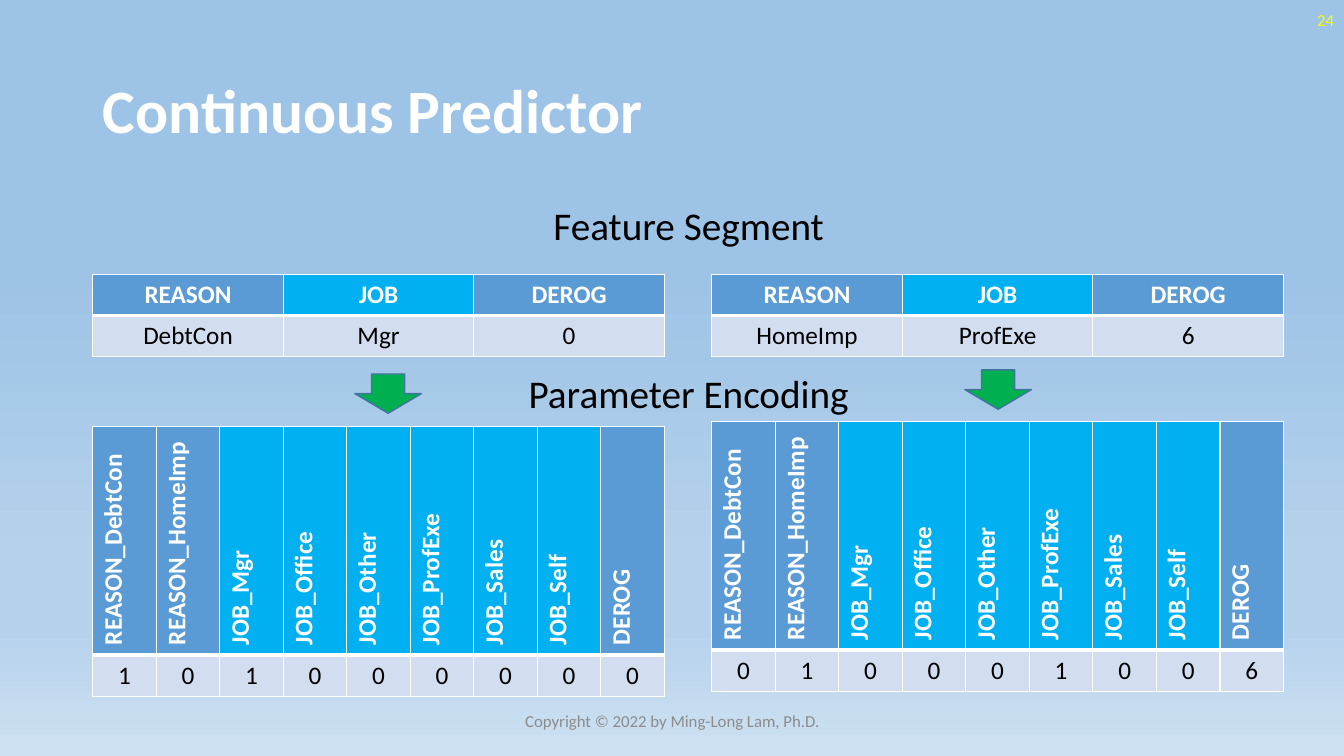
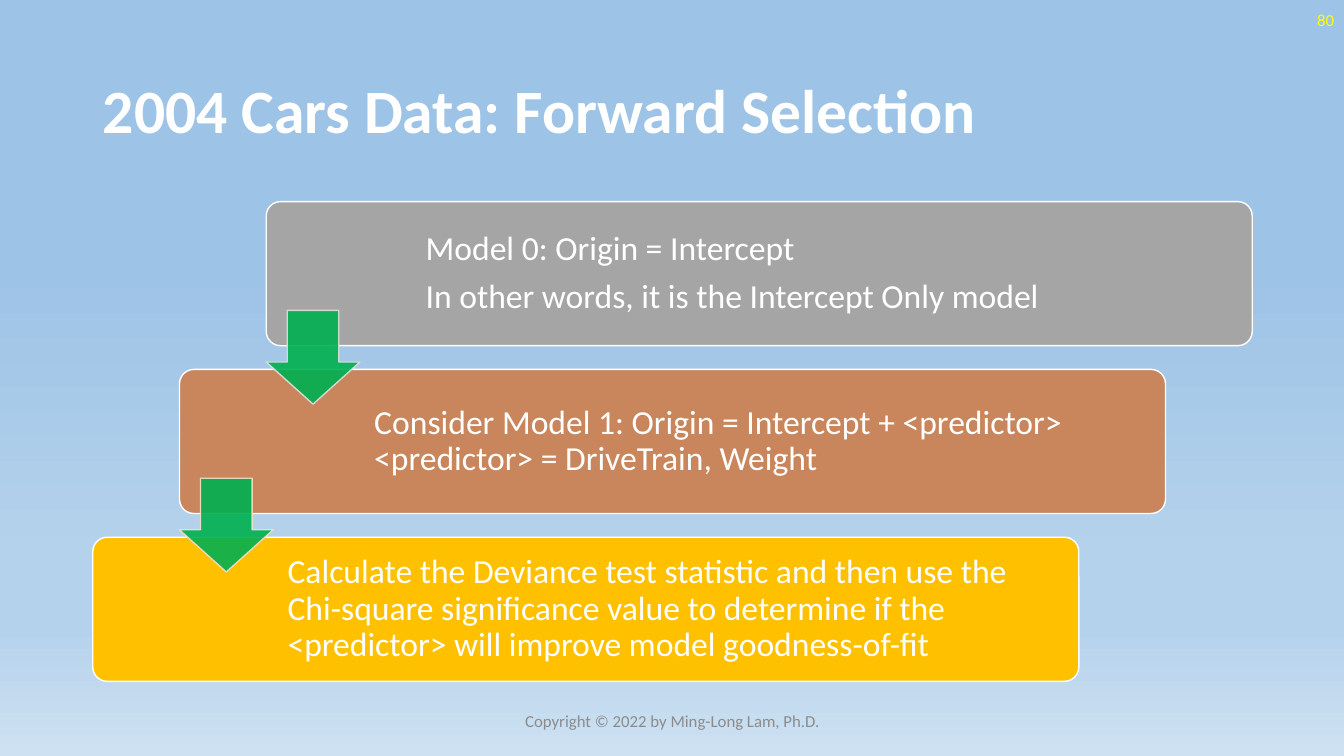
from lxml.etree import SubElement as add_sub
from pptx import Presentation
from pptx.dml.color import RGBColor as RGB
from pptx.enum.shapes import MSO_SHAPE as Shape
from pptx.enum.text import MSO_ANCHOR as Anchor, MSO_AUTO_SIZE as Fit, PP_ALIGN as Align
from pptx.oxml.ns import qn
from pptx.util import Inches, Pt

# Colours and font
FONT = "Calibri"
WHITE = RGB(0xFF, 0xFF, 0xFF)
BLACK = RGB(0x00, 0x00, 0x00)
YELLOW = RGB(0xFF, 0xFF, 0x00)
GREY = RGB(0x8C, 0x8C, 0x8C)
BLUE = RGB(0x5B, 0x9B, 0xD5)
CYAN = RGB(0x00, 0xB0, 0xF0)
PALE = RGB(0xD2, 0xDE, 0xEF)
GREEN = RGB(0x00, 0xB0, 0x50)
NAVY = RGB(0x43, 0x73, 0x9E)
STONE = RGB(0xA5, 0xA5, 0xA5)
CLAY = RGB(0xC9, 0x86, 0x5C)
GOLD = RGB(0xFF, 0xC0, 0x00)
MIST = RGB(0xE1, 0xE1, 0xE1)
CREAM = RGB(0xF5, 0xE0, 0xCB)
SKY = [(35, "9DC3E6"), (74, "B5D2EC"), (83, "B5D2EC"), (100, "CEE1F2")]

# Shared layout, in inches
LEFT, TOP, WIDE = 0.92, 2, 11.5
OWNER = "Copyright © 2022 by Ming-Long Lam, Ph.D."

# Tables
FIELDS = ["REASON", "JOB", "DEROG"]
PARAMS = ["REASON_DebtCon", "REASON_HomeImp", "JOB_Mgr", "JOB_Office", "JOB_Other",
          "JOB_ProfExe", "JOB_Sales", "JOB_Self", "DEROG"]
# Left, top of the codes, top of the arrow, values, codes
CASES = [
    (LEFT, 4.23, 3.71, ["DebtCon", "Mgr", "0"], "101000000"),
    (7.06, 4.18, 3.67, ["HomeImp", "ProfExe", "6"], "010001006"),
]

# Steps: fill, text indent, paragraphs
STEPS = [
    (STONE, 1.54, ["Model 0: Origin = Intercept",
                   "In other words, it is the Intercept Only model"]),
    (CLAY, 1.89, ["Consider Model 1: Origin = Intercept + <predictor>\v"
                  "<predictor> = DriveTrain, Weight"]),
    (GOLD, 1.89, ["Calculate the Deviance test statistic and then use the Chi-square "
                  "significance value to determine if the <predictor> will improve "
                  "model goodness-of-fit"]),
]


def write(frame, *texts, size=18, color=BLACK, bold=False, align=Align.LEFT,
          anchor=Anchor.MIDDLE, line=1.0, gap=0, plain=False):
    """Fill a text frame, one paragraph for each text."""
    frame.word_wrap = True
    frame.vertical_anchor = anchor
    for i, text in enumerate(texts):
        para = frame.add_paragraph() if i else frame.paragraphs[0]
        para.text = text
        if plain:
            props = para._p.get_or_add_pPr()
            props.set("marL", "0")
            props.set("indent", "0")
            add_sub(props, qn("a:buNone"))
        para.alignment = align
        para.line_spacing = line
        para.space_before = Pt(gap if i else 0)
        for run in para.runs:
            font = run.font
            font.name, font.size, font.bold = FONT, Pt(size), bold
            font.color.rgb = color


def place(item, x, y, w, h):
    item.left, item.top, item.width, item.height = map(Inches, (x, y, w, h))


def label(slide, text, x, y, w, h, **style):
    box = slide.shapes.add_textbox(*map(Inches, (x, y, w, h)))
    write(box.text_frame, text, **style)


def block(slide, kind, x, y, w, h, fill, line, adj=(), alpha=None):
    item = slide.shapes.add_shape(kind, *map(Inches, (x, y, w, h)))
    item.shadow.inherit = False
    item.fill.solid()
    item.fill.fore_color.rgb = fill
    item.line.color.rgb = line
    item.line.width = Pt(1)
    for i, value in enumerate(adj):
        item.adjustments[i] = value
    if alpha:
        for tint in item.element.spPr.iter(qn("a:srgbClr")):
            add_sub(tint, qn("a:alpha"), val=str(alpha * 1000))
    return item


def edge(cell, head):
    """Draw white cell borders, with a thick rule under the header."""
    props = cell._tc.get_or_add_tcPr()
    for side in "LRTB":
        thick = side == ("B" if head else "T")
        rule = add_sub(props, qn("a:ln" + side), w=str(Pt(3 if thick else 1)))
        fill = add_sub(rule, qn("a:solidFill"))
        add_sub(fill, qn("a:srgbClr"), val=str(WHITE))


def grid(slide, x, y, rows, tall=0.41, turn=False):
    """Add a header row and a value row."""
    count, width = len(rows[0]), 5.67
    frame = slide.shapes.add_table(2, count, *map(Inches, (x, y, width, tall + 0.41)))
    table = frame.table
    for row, size in zip(table.rows, (tall, 0.41)):
        row.height = Inches(size)
    for col in table.columns:
        col.width = Inches(width / count)
    for r, texts in enumerate(rows):
        head = r == 0
        for c, text in enumerate(texts):
            cell = table.cell(r, c)
            edge(cell, head)
            cell.fill.solid()
            shade = CYAN if rows[0][c].startswith("JOB") else BLUE
            cell.fill.fore_color.rgb = shade if head else PALE
            write(cell.text_frame, text, color=WHITE if head else BLACK, bold=head,
                  align=Align.LEFT if head and turn else Align.CENTER)
            cell.vertical_anchor = Anchor.MIDDLE
            if head and turn:
                cell._tc.tcPr.set("vert", "vert270")


def paint(master):
    """Give the master its sky gradient."""
    fill = master.background.fill
    fill.gradient()
    fill.gradient_angle = 270
    stops = master.element.find(".//" + qn("a:gsLst"))
    for stop in list(stops):
        stops.remove(stop)
    for pos, tint in SKY:
        stop = add_sub(stops, qn("a:gs"), pos=str(pos * 1000))
        add_sub(stop, qn("a:srgbClr"), val=tint)


def start(prs, layout, title, page):
    """Add a slide with its title, page number and footer."""
    slide = prs.slides.add_slide(prs.slide_layouts[layout])
    head = slide.shapes.title
    place(head, LEFT, 0.4, WIDE, 1.45)
    head.text_frame.auto_size = Fit.NONE
    write(head.text_frame, title, size=44, color=WHITE, bold=True, line=0.9)
    label(slide, page, 10.33, 0, 3, 0.4, size=12, color=YELLOW, align=Align.RIGHT)
    label(slide, OWNER, 4.42, 6.95, 4.5, 0.4, size=12, color=GREY, align=Align.CENTER)
    return slide


def encode(prs):
    slide = start(prs, 1, "Continuous Predictor", "24")
    body = slide.placeholders[1]
    place(body, LEFT, TOP, 11.82, 4.76)
    body.text_frame.auto_size = Fit.NONE
    write(body.text_frame, "Feature Segment", "Parameter Encoding", size=28,
          align=Align.CENTER, anchor=Anchor.TOP, line=0.9, gap=90, plain=True)
    for x, low, mid, values, codes in CASES:
        grid(slide, x, 2.72, [FIELDS, values])
        grid(slide, x, low, [PARAMS, codes], tall=2.27, turn=True)
        block(slide, Shape.DOWN_ARROW, x + 2.6 - (x > LEFT) * 0.09, mid, 0.66, 0.39,
              GREEN, NAVY)


def select(prs):
    slide = start(prs, 5, "2004 Cars Data: Forward Selection", "80")
    wide, tall = 9.78, 1.43
    last = len(STEPS) - 1
    shift = (WIDE - wide) / last
    drop = (4.76 - tall) / last
    # Stair of boxes
    for i, (fill, indent, texts) in enumerate(STEPS):
        box = block(slide, Shape.ROUNDED_RECTANGLE, LEFT + shift * (last - i),
                    TOP + drop * i, wide, tall, fill, WHITE, adj=[0.1])
        frame = box.text_frame
        frame.margin_left = Inches(indent)
        frame.margin_right = Inches(0.1)
        write(frame, *texts, size=24, color=WHITE, line=0.9, gap=8.4)
    # Arrows between the steps
    for i, line in enumerate([MIST, CREAM]):
        block(slide, Shape.DOWN_ARROW, LEFT + shift * (last - i), 3.08 + drop * i,
              0.93, 0.93, GREEN, line, adj=[0.55, 0.45], alpha=90)


def main():
    prs = Presentation()
    prs.slide_width, prs.slide_height = Inches(13.33), Inches(7.5)
    paint(prs.slide_master)
    encode(prs)
    select(prs)
    prs.save("out.pptx")


if __name__ == "__main__":
    main()
